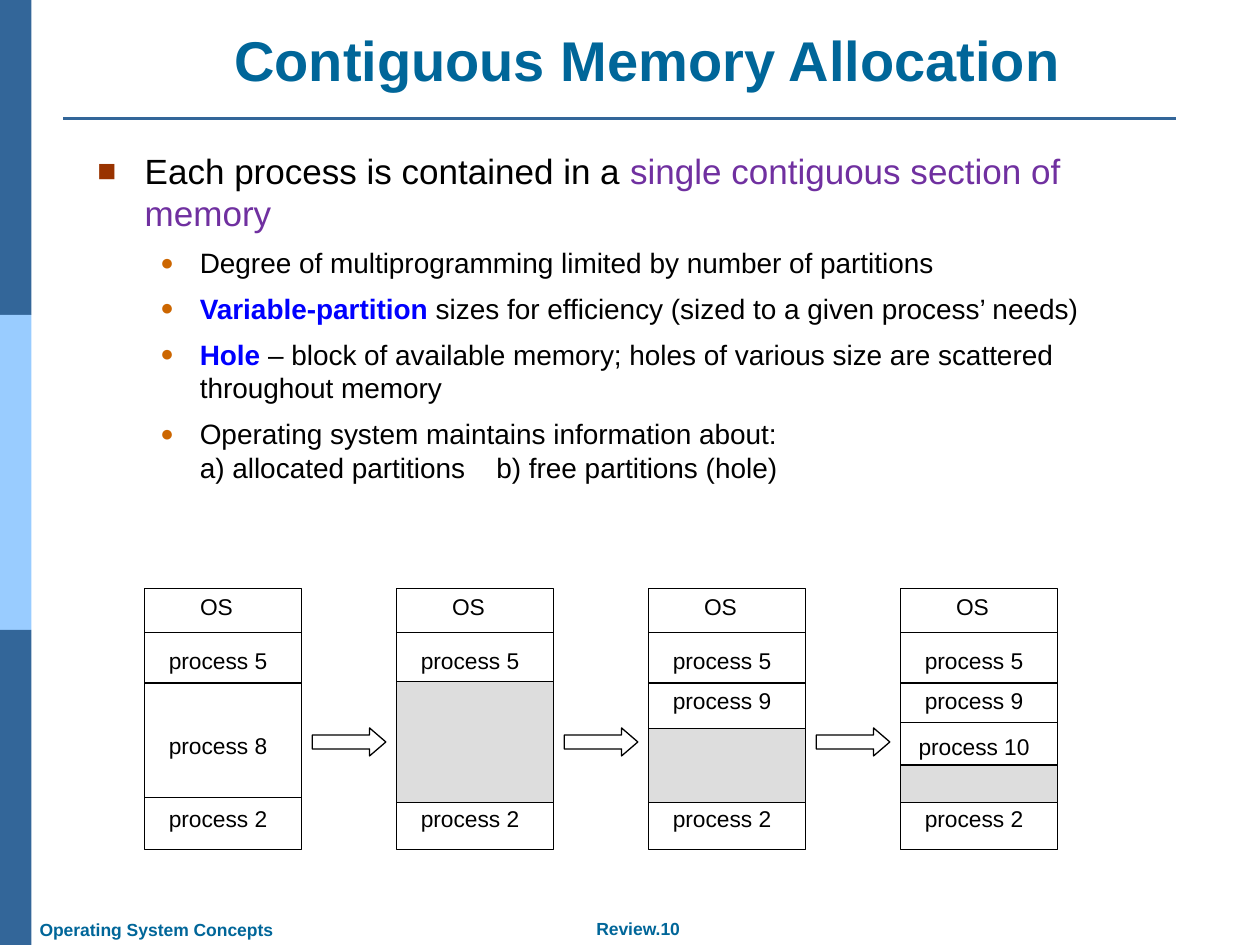
from lxml import etree
from pptx import Presentation
from pptx.dml.color import RGBColor
from pptx.enum.shapes import MSO_CONNECTOR, MSO_SHAPE
from pptx.enum.text import MSO_ANCHOR, PP_ALIGN
from pptx.oxml.ns import qn
from pptx.util import Pt

RECTANGLE, RIGHT_ARROW = MSO_SHAPE.RECTANGLE, MSO_SHAPE.RIGHT_ARROW
STRAIGHT = MSO_CONNECTOR.STRAIGHT
LEFT, CENTER = PP_ALIGN.LEFT, PP_ALIGN.CENTER
TOP, MIDDLE, BOTTOM = MSO_ANCHOR.TOP, MSO_ANCHOR.MIDDLE, MSO_ANCHOR.BOTTOM

THEME = {
    "font": "Arial",
    "title": "006699", "bar": "336699", "bar_light": "99CCFF",
    "text": "000000", "accent": "7030A0", "term": "0000FF",
    "paper": "FFFFFF", "hole": "DDDDDD",
    "title_size": 32, "label_size": 13, "footer_size": 10,
}

# Content: each bullet is a level and its (text, colour, bold) runs
TITLE = "Contiguous Memory Allocation"
FOOTERS = [  # text, left, top, width, alignment
    ("Review.10", 314.9, 520.9, 99.4, CENTER),
    ("Operating System Concepts", 15.5, 521.6, 147.6, LEFT),
]
BULLETS = [
    (0, [("Each process is contained in a ", "text", False),
         ("single contiguous section of memory", "accent", False)]),
    (1, [("Degree of multiprogramming limited by number of partitions", "text", False)]),
    (1, [("Variable-partition ", "term", True),
         ("sizes for efficiency (sized to a given process’ needs)", "text", False)]),
    (1, [("Hole", "term", True),
         (" – block of available memory; holes of various size are scattered "
          "throughout memory", "text", False)]),
    (1, [("Operating system maintains information about:\v"
          "a) allocated partitions\tb) free partitions (hole)", "text", False)]),
]
LEVELS = [
    {"size": 20, "margin": 27, "indent": -27, "before": 8.8,
     "mark": "■", "color": "993300", "scale": 90},
    {"size": 16, "margin": 58.5, "indent": -22.5, "before": 7,
     "mark": "●", "color": "CC6600", "scale": 80},
]
TAB_STOP = 228

# Memory states: process labels with their tops, the hole (top), extra dividers
PROCESS_5, PROCESS_9, PROCESS_2 = ("process 5", 366.5), ("process 9", 388.8), ("process 2", 456.3)
STATES = [
    {"labels": [PROCESS_5, ("process 8", 414.5), PROCESS_2], "hole": None, "extra": []},
    {"labels": [PROCESS_5, PROCESS_2], "hole": 389.5, "extra": []},
    {"labels": [PROCESS_5, PROCESS_9, PROCESS_2], "hole": 416.2, "extra": []},
    {"labels": [PROCESS_5, PROCESS_9, ("process 10", 415.4), PROCESS_2],
     "hole": 437.2, "extra": [412.7]},
]
DIVIDERS = [361.5, 390.3, 455.8]
HOLE_BOTTOM = 458.6
COLUMN_LEFT, COLUMN_TOP, COLUMN_WIDTH, COLUMN_HEIGHT, PITCH = 82.5, 336.2, 90, 149.1, 144
LABEL_WIDTH, LABEL_HEIGHT = 84.2, 22.3

presentation = Presentation()
presentation.slide_width, presentation.slide_height = Pt(720), Pt(540)
slide = presentation.slides.add_slide(presentation.slide_layouts[6])


def color(name):
    return RGBColor.from_string(THEME[name])


def add_block(kind, left, top, width, height, fill, outline=None):
    shape = slide.shapes.add_shape(kind, Pt(left), Pt(top), Pt(width), Pt(height))
    shape.shadow.inherit = False
    shape.fill.solid()
    shape.fill.fore_color.rgb = color(fill)
    if outline:
        shape.line.color.rgb = color(outline)
        shape.line.width = Pt(0.75)
    else:
        shape.line.fill.background()
    return shape


def add_rule(left, right, y, line_color, weight):
    rule = slide.shapes.add_connector(STRAIGHT, Pt(left), Pt(y), Pt(right), Pt(y))
    rule.line.color.rgb = color(line_color)
    rule.line.width = Pt(weight)
    etree.SubElement(rule._element.spPr, qn("a:effectLst"))


def add_frame(left, top, width, height, anchor, wrap=True, inset=7.2):
    box = slide.shapes.add_textbox(Pt(left), Pt(top), Pt(width), Pt(height))
    frame = box.text_frame
    frame.word_wrap = wrap
    frame.vertical_anchor = anchor
    frame.margin_left = frame.margin_right = Pt(inset)
    return frame


def add_text(text, left, top, width, height, size, text_color="text", bold=False,
             alignment=CENTER, anchor=MIDDLE, wrap=True, inset=7.2):
    paragraph = add_frame(left, top, width, height, anchor, wrap, inset).paragraphs[0]
    paragraph.text = text
    paragraph.alignment = alignment
    font = paragraph.font
    font.name, font.size, font.bold = THEME["font"], Pt(size), bold
    font.color.rgb = color(text_color)


def set_bullet(paragraph, level):
    properties = paragraph._p.get_or_add_pPr()
    properties.set("marL", str(Pt(level["margin"])))
    properties.set("indent", str(Pt(level["indent"])))
    bullet_color = etree.SubElement(properties, qn("a:buClr"))
    etree.SubElement(bullet_color, qn("a:srgbClr"), val=level["color"])
    etree.SubElement(properties, qn("a:buSzPct"), val=str(level["scale"] * 1000))
    etree.SubElement(properties, qn("a:buFont"), typeface=THEME["font"])
    etree.SubElement(properties, qn("a:buChar"), char=level["mark"])
    if "\t" in paragraph.text:
        tabs = etree.SubElement(properties, qn("a:tabLst"))
        etree.SubElement(tabs, qn("a:tab"), pos=str(Pt(TAB_STOP)), algn="l")


# Side bar and title rule
for index, fill in enumerate(["bar", "bar_light", "bar"]):
    add_block(RECTANGLE, 0, index * 180, 18, 180, fill)
add_rule(36, 672, 67.7, "bar", 1.5)

# Footers and title
for text, left, top, width, alignment in FOOTERS:
    add_text(text, left, top, width, 19.4, THEME["footer_size"], "title", True,
             alignment, TOP, False)
add_text(TITLE, 64, 16.2, 612, 40.3, THEME["title_size"], "title", True, anchor=BOTTOM)

# Bullets
body = add_frame(48.6, 81.8, 612, 228.2, TOP)
for index, (depth, runs) in enumerate(BULLETS):
    level = LEVELS[depth]
    paragraph = body.add_paragraph() if index else body.paragraphs[0]
    for text, run_color, bold in runs:
        for part, piece in enumerate(text.split("\v")):
            if part:
                paragraph.add_line_break()
            run = paragraph.add_run()
            run.text = piece
            run.font.color.rgb = color(run_color)
            run.font.bold = bold
    paragraph.level = depth
    set_bullet(paragraph, level)
    if index:
        paragraph.space_before = Pt(level["before"])
    paragraph.font.name, paragraph.font.size = THEME["font"], Pt(level["size"])

# Memory columns, with an arrow from each state to the next
for index, state in enumerate(STATES):
    left = COLUMN_LEFT + index * PITCH
    add_block(RECTANGLE, left, COLUMN_TOP, COLUMN_WIDTH, COLUMN_HEIGHT, "paper", "text")
    for y in DIVIDERS + state["extra"]:
        add_rule(left, left + COLUMN_WIDTH, y, "text", 0.75)
    if state["hole"]:
        add_block(RECTANGLE, left, state["hole"], COLUMN_WIDTH,
                  HOLE_BOTTOM - state["hole"], "hole", "text")
    add_text("OS", left + 25, 335.5, 32.4, LABEL_HEIGHT, THEME["label_size"],
             wrap=False, inset=0)
    for text, top in state["labels"]:
        add_text(text, left, top, LABEL_WIDTH, LABEL_HEIGHT, THEME["label_size"])
    if index < len(STATES) - 1:
        arrow = add_block(RIGHT_ARROW, left + 96, 416, 42, 16, "paper", "text")
        arrow.adjustments[1] = 0.58

presentation.save("out.pptx")
